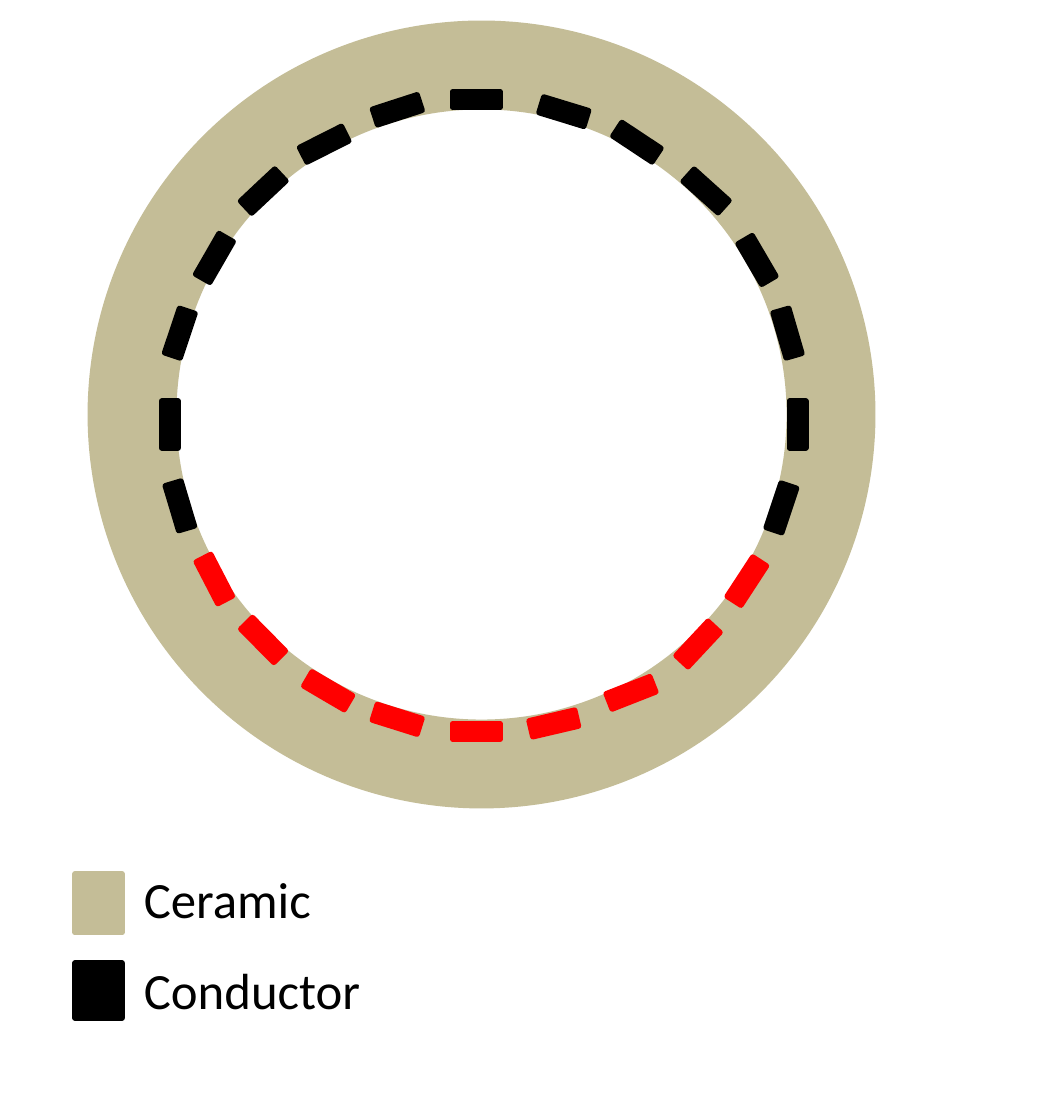
from typing import NamedTuple

from pptx import Presentation
from pptx.dml.color import RGBColor
from pptx.enum.shapes import MSO_SHAPE
from pptx.enum.text import MSO_AUTO_SIZE
from pptx.shapes.autoshape import Shape
from pptx.slide import Slide
from pptx.util import Cm, Inches, Pt

CERAMIC = RGBColor(0xC4, 0xBD, 0x97)
BLACK = RGBColor(0x00, 0x00, 0x00)
RED = RGBColor(0xFF, 0x00, 0x00)

BLOCK_WIDTH, BAR_HEIGHT = 0.23, 0.08
OUTLINE = 2


class Bar(NamedTuple):
    left: float
    top: float
    angle: float


class LegendEntry(NamedTuple):
    label: str
    color: RGBColor
    swatch_top: float
    swatch_height: float
    label_top: float
    label_width: float


# Conductors clockwise around the inner wall, from lower left to lower right
BLACK_BARS = [
    Bar(0.77, 2.45, 73.4),
    Bar(0.72, 2.05, 90),
    Bar(0.77, 1.6, 108.5),
    Bar(0.94, 1.23, 119.9),
    Bar(1.18, 0.9, 136.8),
    Bar(1.48, 0.67, 153.2),
    Bar(1.84, 0.5, 162),
    Bar(2.23, 0.45, 0),
    Bar(2.66, 0.51, 17),
    Bar(3.02, 0.66, 33.5),
    Bar(3.36, 0.9, 42),
    Bar(3.61, 1.24, 59.7),
    Bar(3.76, 1.6, 73.8),
    Bar(3.81, 2.05, 90),
    Bar(3.73, 2.46, 108.4),
]

# Red conductors along the bottom, from right to left
RED_BARS = [
    Bar(3.56, 2.82, 123.1),
    Bar(3.32, 3.13, 133),
    Bar(2.99, 3.37, 158.6),
    Bar(2.61, 3.52, 166.8),
    Bar(2.23, 3.56, 0),
    Bar(1.84, 3.5, 17.5),
    Bar(1.5, 3.36, 30.4),
    Bar(1.18, 3.11, 45.4),
    Bar(0.94, 2.81, 62.6),
]

LEGEND = [
    LegendEntry("Ceramic", CERAMIC, 4.3, 0.29, 4.22, 1.03),
    LegendEntry("Conductor", BLACK, 4.74, 0.27, 4.67, 1.28),
]


def add_block(slide: Slide, left: float, top: float, height: float,
              color: RGBColor) -> Shape:
    block = slide.shapes.add_shape(MSO_SHAPE.RECTANGLE, Inches(left), Inches(top),
                                   Inches(BLOCK_WIDTH), Inches(height))
    block.shadow.inherit = False
    block.fill.solid()
    block.fill.fore_color.rgb = color
    block.line.color.rgb = color
    block.line.width = Pt(OUTLINE)
    return block


def add_ceramic_ring(slide: Slide) -> None:
    ring = slide.shapes.add_shape(MSO_SHAPE.OVAL, Inches(0.65), Inches(0.32),
                                  Inches(3.44), Inches(3.44))
    ring.shadow.inherit = False
    ring.fill.background()
    ring.line.color.rgb = CERAMIC
    ring.line.width = Pt(31.5)


def add_conductors(slide: Slide, bars: list[Bar], color: RGBColor) -> None:
    for bar in bars:
        conductor = add_block(slide, bar.left, bar.top, BAR_HEIGHT, color)
        conductor.rotation = bar.angle


def add_legend_entry(slide: Slide, entry: LegendEntry) -> None:
    add_block(slide, 0.37, entry.swatch_top, entry.swatch_height, entry.color)
    label = slide.shapes.add_textbox(Inches(0.61), Inches(entry.label_top),
                                     Inches(entry.label_width), Inches(0.4))
    label.text_frame.word_wrap = False
    label.text_frame.auto_size = MSO_AUTO_SIZE.SHAPE_TO_FIT_TEXT
    wording = label.text_frame.paragraphs[0]
    wording.text = entry.label
    wording.font.name = "Calibri"
    wording.font.size = Pt(18)
    wording.font.color.rgb = BLACK


def main() -> None:
    presentation = Presentation()
    presentation.slide_width = Cm(13)
    presentation.slide_height = Cm(14)
    slide = presentation.slides.add_slide(presentation.slide_layouts[6])

    # Ceramic tube with conductors on its inner wall
    add_ceramic_ring(slide)
    add_conductors(slide, BLACK_BARS, BLACK)
    add_conductors(slide, RED_BARS, RED)

    # Legend
    for entry in LEGEND:
        add_legend_entry(slide, entry)

    presentation.save("out.pptx")


if __name__ == "__main__":
    main()
